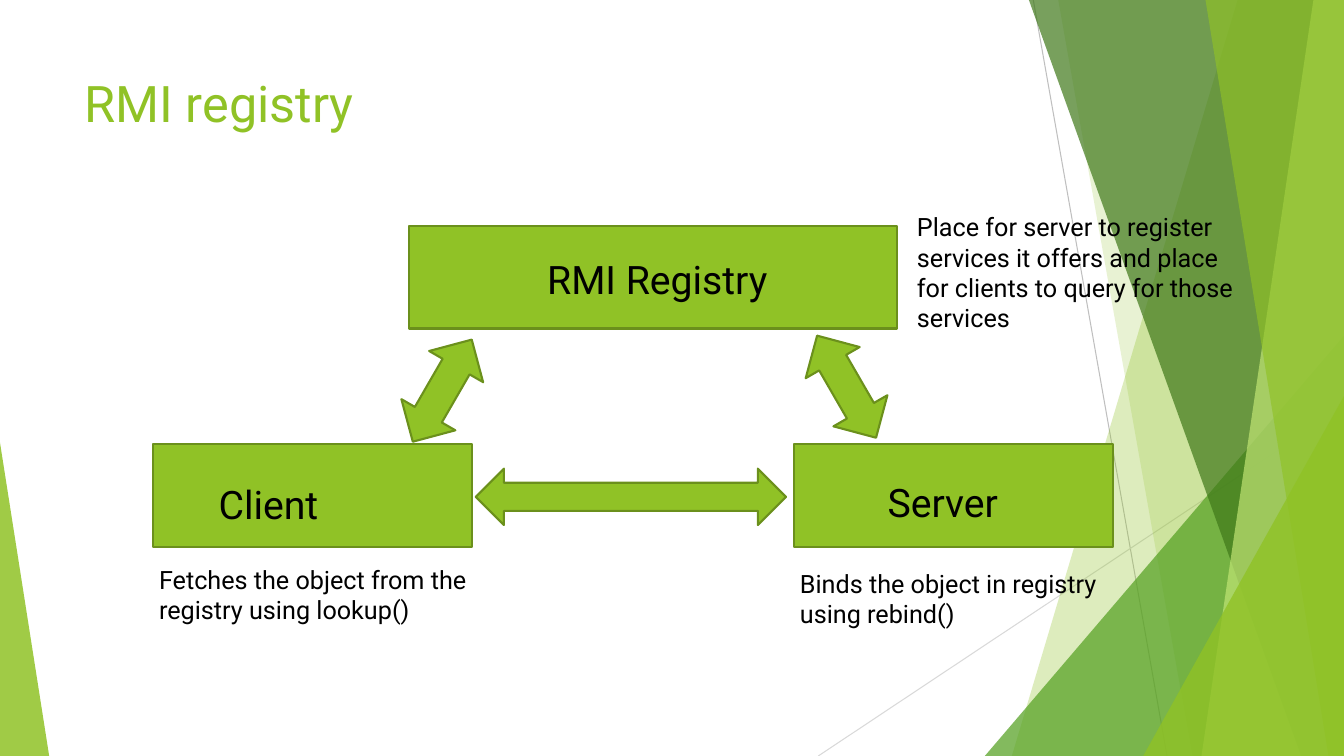
from lxml import etree
from pptx import Presentation
from pptx.dml.color import RGBColor
from pptx.enum.shapes import MSO_CONNECTOR, MSO_SHAPE
from pptx.oxml.ns import qn
from pptx.util import Cm, Pt

LINE = MSO_CONNECTOR.STRAIGHT
RECT = MSO_SHAPE.RECTANGLE
WEDGE = MSO_SHAPE.ISOSCELES_TRIANGLE
UP_DOWN = MSO_SHAPE.UP_DOWN_ARROW
LEFT_RIGHT = MSO_SHAPE.LEFT_RIGHT_ARROW

GREEN = RGBColor(0x90, 0xC2, 0x26)
EDGE = RGBColor(0x6B, 0x90, 0x1C)
LEAF = RGBColor(0x54, 0xA0, 0x21)
DARK = RGBColor(0x3F, 0x78, 0x19)
LIME = RGBColor(0xC0, 0xE4, 0x74)
GREY = RGBColor(0xBF, 0xBF, 0xBF)
PALE = RGBColor(0xD9, 0xD9, 0xD9)
BLACK = RGBColor(0, 0, 0)

FONT = "Roboto"
WIDE, HIGH = 33.87, 19.05


def tint(shape, color, alpha):
    """Fill a shape with a see-through colour, alpha in percent."""
    shape.shadow.inherit = False
    shape.line.fill.background()
    shape.fill.solid()
    shape.fill.fore_color.rgb = color
    tone = shape.fill._xPr.find(qn("a:solidFill"))[0]
    etree.SubElement(tone, qn("a:alpha")).set("val", str(alpha * 1000))


def add_ray(slide, start, end, color):
    ray = slide.shapes.add_connector(LINE, *map(Cm, start + end))
    ray.line.color.rgb = color
    ray.line.width = Pt(0.75)
    etree.SubElement(ray._element.spPr, qn("a:effectLst"))


def add_band(slide, box, top, foot, color, alpha):
    """Draw a band from a slanted left side to the right edge of the box."""
    x, y, w, h = box
    form = slide.shapes.build_freeform(Cm(x + top), Cm(y), scale=1.0)
    corners = [(x + w, y), (x + w, y + h), (x + foot, y + h)]
    form.add_line_segments([(Cm(a), Cm(b)) for a, b in corners])
    tint(form.convert_to_shape(), color, alpha)


def add_wedge(slide, box, peak, color, alpha):
    wedge = slide.shapes.add_shape(WEDGE, *map(Cm, box))
    wedge.adjustments[0] = peak
    tint(wedge, color, alpha)


def add_text(slide, box, text, size, color=BLACK):
    frame = slide.shapes.add_textbox(*map(Cm, box)).text_frame
    frame.word_wrap = True
    run = frame.paragraphs[0].add_run()
    run.text = text
    run.font.name = FONT
    run.font.size = Pt(size)
    run.font.color.rgb = color


def add_solid(slide, kind, box, turn=0):
    shape = slide.shapes.add_shape(kind, *map(Cm, box))
    shape.shadow.inherit = False
    shape.fill.solid()
    shape.fill.fore_color.rgb = GREEN
    shape.line.color.rgb = EDGE
    shape.line.width = Pt(1.5)
    shape.rotation = turn


def add_facets(slide, box):
    x, y, w, h = box
    right, base = x + w, y + h

    # Thin rays
    add_ray(slide, (x + 26.04, y), (x + 29.41, base), GREY)
    add_ray(slide, (right, y + 10.24), (x + 20.62, base), PALE)

    # Right side, back to front
    add_band(slide, box, 31.19, 25.5, GREEN, 30)
    add_band(slide, box, 26.67, 30.05, GREEN, 20)
    add_wedge(slide, (right - 9.05, base - 10.59, 9.05, 10.59), 1, LEAF, 72)
    add_band(slide, box, 25.93, 32.79, DARK, 70)
    add_band(slide, box, 33.1, 30.28, LIME, 70)
    add_band(slide, box, 30.38, 33.48, GREEN, 65)
    add_wedge(slide, (right - 5.06, base - 9.07, 5.06, 9.07), 1, GREEN, 80)

    # Left corner
    add_wedge(slide, (x, base - 7.9, 1.24, 7.9), 0, GREEN, 85)


def add_node(slide, box, name, name_at, note, note_at):
    """Draw a box with its name and note, both offset from its corner."""
    x, y, w, h = box
    add_solid(slide, RECT, box)
    add_text(slide, (x + name_at[0], y + name_at[1], 7.82, 1.45), name, 28)
    add_text(slide, (x + note_at[0], y + note_at[1], 8.66, 1.8), note, 18)


def add_scheme(slide, box):
    x, y, w, h = box
    low = y + 5.51
    side, tall = 8.03, 2.59

    # Nodes
    add_node(slide, (x + 6.45, y, 12.29, tall), "RMI Registry", (3.23, 0.61),
             "Place for server to register services it offers and place "
             "for clients to query for those services", (12.55, -0.48))
    add_node(slide, (x, low, side, tall), "Client", (1.4, 0.79),
             "Fetches the object from the registry using lookup()",
             (-0.1, 2.9))
    add_node(slide, (x + w - side, low, side, tall), "Server", (2.1, 0.74),
             "Binds the object in registry using rebind()", (-0.11, 3))

    # Arrows between the nodes
    add_solid(slide, UP_DOWN, (x + 6.5, y + 2.67, 1.57, 2.97), 30)
    add_solid(slide, UP_DOWN, (x + 16.69, y + 2.57, 1.57, 2.97), 330)
    add_solid(slide, LEFT_RIGHT, (x + 8.13, low + 0.61, 7.82, 1.42))


def main():
    deck = Presentation()
    deck.slide_width, deck.slide_height = Cm(WIDE), Cm(HIGH)
    slide = deck.slides.add_slide(deck.slide_layouts[6])
    add_facets(slide, (0, 0, WIDE, HIGH))
    add_text(slide, (1.88, 1.7, 23.88, 3.66), "RMI registry", 36, GREEN)
    add_scheme(slide, (3.86, 5.69, 24.19, 8.1))
    deck.save("out.pptx")


if __name__ == "__main__":
    main()
